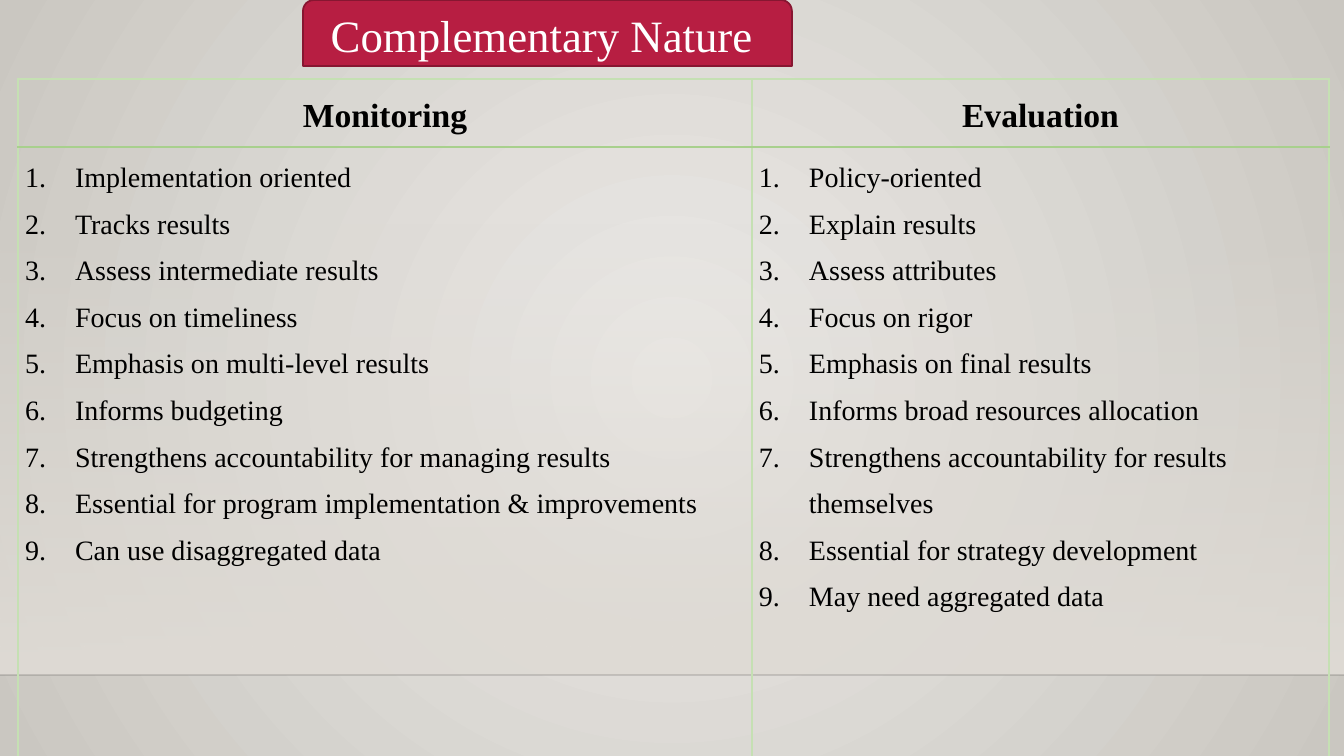
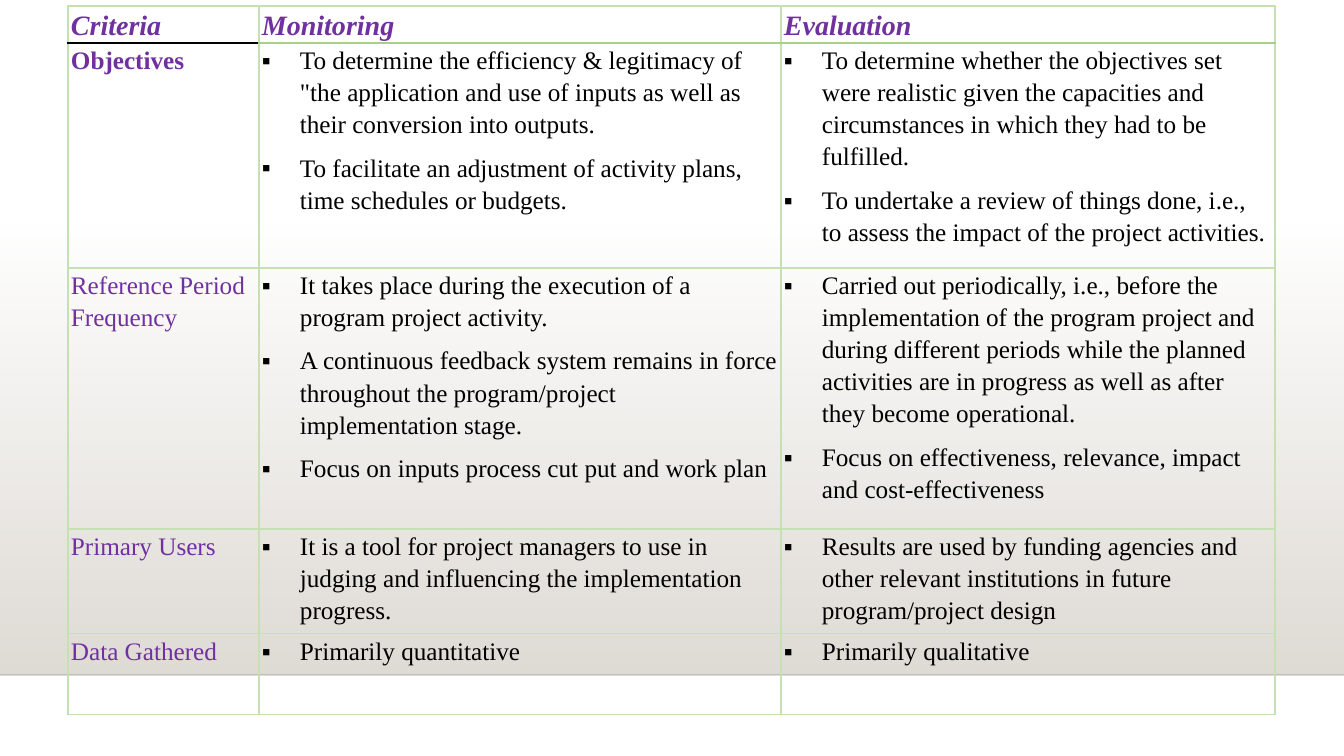
from dataclasses import dataclass, replace

from pptx import Presentation
from pptx.dml.color import RGBColor
from pptx.enum.shapes import MSO_CONNECTOR as Connector, MSO_SHAPE as Shape
from pptx.enum.text import MSO_ANCHOR as Anchor, PP_ALIGN as Align
from pptx.oxml import parse_xml
from pptx.oxml.ns import nsdecls, qn
from pptx.util import Emu, Pt

EMU_PER_PX = 914400 / 100.8
WIDTH, HEIGHT = 1344, 756
FLOOR = 675


def px(length):
    return Emu(round(length * EMU_PER_PX))


@dataclass(frozen=True)
class Theme:
    font: str = "Times New Roman"
    ink: str = "000000"
    white: str = "FFFFFF"
    crimson: str = "B71E42"
    crimson_edge: str = "871631"
    purple: str = "7030A0"
    grid: str = "C5E0B3"
    rule: str = "A8D08D"
    haze: str = "DFDBD5"
    glow_center: str = "ECEAE7"
    glow_edge: str = "CAC7C1"
    horizon: str = "000001"
    title_size: int = 32
    heading_size: int = 24
    list_size: int = 20
    body_size: int = 18


THEME = Theme()


@dataclass(frozen=True)
class TextStyle:
    size: int
    color: str = THEME.ink
    bold: bool = False
    italic: bool = False
    align: Align = Align.LEFT
    spacing: float = 1
    after: int = 0
    bullet: str = ""
    hang: int = 0


TITLE = TextStyle(THEME.title_size, THEME.white, align=Align.CENTER)
HEADING = TextStyle(THEME.heading_size, bold=True, align=Align.CENTER, spacing=1.5, after=8)
NUMBERED = TextStyle(THEME.list_size, spacing=1.5, bullet='buAutoNum type="arabicPeriod"', hang=50)
CRITERION = TextStyle(THEME.body_size, THEME.purple, spacing=1.15, after=8)
STRONG_CRITERION = replace(CRITERION, bold=True)
COLUMN_HEAD = replace(STRONG_CRITERION, size=THEME.list_size, italic=True)
BULLETED = replace(CRITERION, color=THEME.ink, bullet='buChar char="▪"', hang=38)


class Deck:
    def __init__(self, theme):
        self.theme = theme
        self.presentation = Presentation()
        self.presentation.slide_width = px(WIDTH)
        self.presentation.slide_height = px(HEIGHT)
        self.slide = None

    def new_slide(self, glow=False):
        self.slide = self.presentation.slides.add_slide(self.presentation.slide_layouts[6])
        fill = self.slide.background.fill
        if glow:
            fill.gradient()
            self.gradient(
                self.slide.element,
                [(self.theme.glow_center, 100), (self.theme.glow_edge, 100)],
                '<a:path path="circle"><a:fillToRect l="50000" t="50000" r="50000" b="50000"/></a:path>',
            )
        else:
            fill.solid()
            fill.fore_color.rgb = RGBColor.from_string(self.theme.white)
        self.haze_band(223, FLOOR)
        self.horizon(FLOOR)

    def gradient(self, root, stops, direction):
        stop_xml = "".join(
            f'<a:gs pos="{index * 100000}"><a:srgbClr val="{color}">'
            f'<a:alpha val="{opacity * 1000}"/></a:srgbClr></a:gs>'
            for index, (color, opacity) in enumerate(stops)
        )
        current = next(root.iter(qn("a:gradFill")))
        current.getparent().replace(current, parse_xml(
            f'<a:gradFill {nsdecls("a")} rotWithShape="1"><a:gsLst>{stop_xml}</a:gsLst>{direction}</a:gradFill>'
        ))

    def haze_band(self, top, bottom):
        band = self.slide.shapes.add_shape(Shape.RECTANGLE, 0, px(top), px(WIDTH), px(bottom - top))
        band.shadow.inherit = False
        band.line.fill.background()
        band.fill.gradient()
        self.gradient(
            band.element,
            [(self.theme.haze, 0), (self.theme.haze, 100)],
            '<a:lin ang="5400000" scaled="0"/>',
        )

    def horizon(self, top):
        line = self.slide.shapes.add_connector(Connector.STRAIGHT, 0, px(top), px(WIDTH), px(top))
        line.line.width = Pt(1)
        line.line.color.rgb = RGBColor.from_string(self.theme.horizon)
        color = next(line.element.spPr.iter(qn("a:srgbClr")))
        color.append(parse_xml(f'<a:alpha {nsdecls("a")} val="20000"/>'))
        line.element.spPr.append(parse_xml(f'<a:effectLst {nsdecls("a")}/>'))

    def title_tab(self, left, top, width, height, text):
        tab = self.slide.shapes.add_shape(
            Shape.ROUND_2_SAME_RECTANGLE, px(left), px(top), px(width), px(height)
        )
        tab.shadow.inherit = False
        tab.fill.solid()
        tab.fill.fore_color.rgb = RGBColor.from_string(self.theme.crimson)
        tab.line.color.rgb = RGBColor.from_string(self.theme.crimson_edge)
        tab.line.width = Pt(1.25)
        tab.text_frame.vertical_anchor = Anchor.MIDDLE
        self.add_text(tab.text_frame, [text], TITLE)

    def add_text(self, frame, texts, style):
        frame.word_wrap = True
        for index, text in enumerate(texts):
            paragraph = frame.add_paragraph() if index else frame.paragraphs[0]
            paragraph.alignment = style.align
            paragraph.line_spacing = float(style.spacing)
            paragraph.space_before = Pt(0)
            paragraph.space_after = Pt(style.after)
            if style.bullet:
                self.bullet(paragraph, style)
            run = paragraph.add_run()
            run.text = text
            run.font.name = self.theme.font
            run.font.size = Pt(style.size)
            run.font.bold = style.bold
            run.font.italic = style.italic
            run.font.color.rgb = RGBColor.from_string(style.color)

    def bullet(self, paragraph, style):
        properties = paragraph._p.get_or_add_pPr()
        properties.set("marL", str(px(style.hang)))
        properties.set("indent", str(-px(style.hang)))
        properties.append(parse_xml(f'<a:buFont {nsdecls("a")} typeface="{self.theme.font}"/>'))
        properties.append(parse_xml(f'<a:{style.bullet} {nsdecls("a")}/>'))

    def borders(self, cell, top, bottom):
        grid = (self.theme.grid, 1)
        properties = cell._tc.get_or_add_tcPr()
        for side, (color, width) in zip("LRTB", (grid, grid, top, bottom)):
            properties.append(parse_xml(
                f'<a:ln{side} {nsdecls("a")} w="{Pt(width)}"><a:solidFill><a:srgbClr val="{color}"/>'
                f'</a:solidFill><a:prstDash val="solid"/></a:ln{side}>'
            ))

    def table(self, left, top, widths, heights, rows, inset, head_rules):
        table = self.slide.shapes.add_table(
            len(heights), len(widths), px(left), px(top), px(sum(widths)), px(sum(heights))
        ).table
        table.first_row = table.horz_banding = False
        for column, width in zip(table.columns, widths):
            column.width = px(width)
        for row, height in zip(table.rows, heights):
            row.height = px(height)
        grid = (self.theme.grid, 1)
        for row_index, row in enumerate(rows):
            for column_index, (style, *texts) in enumerate(row):
                cell = table.cell(row_index, column_index)
                cell.margin_left = cell.margin_right = px(inset)
                cell.margin_top = cell.margin_bottom = 0
                head_rule = head_rules[column_index]
                self.borders(
                    cell,
                    head_rule if row_index == 1 else grid,
                    head_rule if row_index == 0 else grid,
                )
                cell.fill.background()
                self.add_text(cell.text_frame, texts, style)


def complementary_nature(deck):
    deck.new_slide(glow=True)
    deck.title_tab(303, 0, 489, 66, "Complementary Nature ")
    rows = [
        [(HEADING, "Monitoring"), (HEADING, "Evaluation")],
        [
            (
                NUMBERED,
                "Implementation oriented",
                "Tracks results",
                "Assess intermediate results",
                "Focus on timeliness",
                "Emphasis on multi-level results",
                "Informs budgeting",
                "Strengthens accountability for managing results",
                "Essential for program implementation & improvements",
                "Can use disaggregated data",
            ),
            (
                NUMBERED,
                "Policy-oriented",
                "Explain results",
                "Assess attributes",
                "Focus on rigor",
                "Emphasis on final results",
                "Informs broad resources allocation",
                "Strengthens accountability for results themselves",
                "Essential for strategy development",
                "May need aggregated data",
            ),
        ],
    ]
    deck.table(18, 79, [734, 577], [68, 823], rows, 7, [(THEME.rule, 1.5)] * 2)


def criteria_comparison(deck):
    deck.new_slide()
    rows = [
        [(COLUMN_HEAD, heading) for heading in ("Criteria", "Monitoring", "Evaluation")],
        [
            (STRONG_CRITERION, "Objectives"),
            (
                BULLETED,
                'To determine the efficiency & legitimacy of "the application and use of inputs '
                "as well as their conversion into outputs.",
                "To facilitate an adjustment of activity plans, time schedules or budgets.",
            ),
            (
                BULLETED,
                "To determine whether the objectives set were realistic given the capacities "
                "and circumstances in which they had to be fulfilled.",
                "To undertake a review of things done, i.e., to assess the impact of the project activities.",
            ),
        ],
        [
            (CRITERION, "Reference Period Frequency"),
            (
                BULLETED,
                "It takes place during the execution of a program project activity.",
                "A continuous feedback system remains in force throughout the program/project "
                "implementation stage.",
                "Focus on inputs process cut put and work plan",
            ),
            (
                BULLETED,
                "Carried out periodically, i.e., before the implementation of the program project "
                "and during different periods while the planned activities are in progress "
                "as well as after they become operational.",
                "Focus on effectiveness, relevance, impact and cost-effectiveness",
            ),
        ],
        [
            (CRITERION, "Primary Users"),
            (
                BULLETED,
                "It is a tool for project managers to use in judging and influencing "
                "the implementation progress.",
            ),
            (
                BULLETED,
                "Results are used by funding agencies and other relevant institutions "
                "in future program/project design",
            ),
        ],
        [
            (CRITERION, "Data Gathered"),
            (BULLETED, "Primarily quantitative"),
            (BULLETED, "Primarily qualitative"),
        ],
    ]
    head_rules = [(THEME.ink, 1), (THEME.rule, 1.5), (THEME.rule, 1.5)]
    deck.table(68, 6, [191, 522, 494], [37, 225, 261, 105, 81], rows, 3, head_rules)


def main():
    deck = Deck(THEME)
    complementary_nature(deck)
    criteria_comparison(deck)
    deck.presentation.save("out.pptx")


if __name__ == "__main__":
    main()
